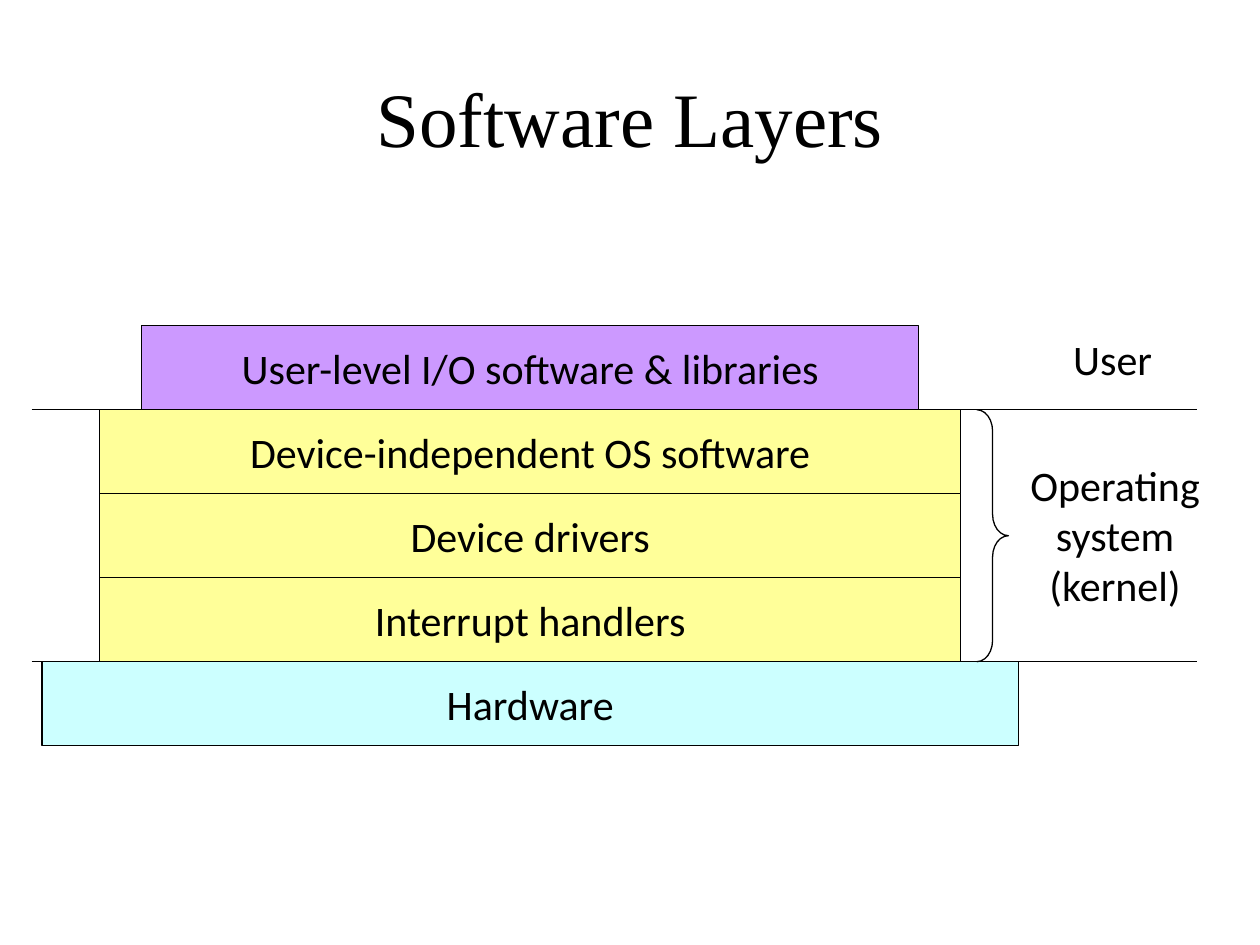
import pptx
import pptx.util
import pptx.dml.color
import pptx.enum.shapes
import pptx.enum.text
import pptx.oxml.ns
import lxml.etree

Cm = pptx.util.Cm
Pt = pptx.util.Pt
HUES = {"ink": "000000", "user": "CC99FF", "kernel": "FFFF99", "metal": "CCFFFF"}

# Stack geometry in cm: the three kernel layers fill the band between the lines
MID = 10.69
TOP = 8.26
BAND = 5.08
ROW = BAND / 3
LAYERS = [
    ("User-level I/O software & libraries", 15.66, "user"),
    ("Device-independent OS software", 17.36, "kernel"),
    ("Device drivers", 17.36, "kernel"),
    ("Interrupt handlers", 17.36, "kernel"),
    ("Hardware", 19.69, "metal"),
]


def hue(name):
    return pptx.dml.color.RGBColor.from_string(HUES[name])


def write(frame, lines, size=24, font="Calibri"):
    para = frame.paragraphs[0]
    para.alignment = pptx.enum.text.PP_ALIGN.CENTER
    for i, line in enumerate(lines):
        if i:
            para.add_line_break()
        run = para.add_run()
        run.text = line
        run.font.size = Pt(size)
        run.font.name = font
        run.font.color.rgb = hue("ink")


def stroke(item):
    item.line.color.rgb = hue("ink")
    item.line.width = Pt(0.75)


def add_title(slide, text):
    title = slide.shapes.title
    title.left, title.top = Cm(1.27), Cm(0.76)
    title.width, title.height = Cm(22.86), Cm(3.18)
    title.text_frame.vertical_anchor = pptx.enum.text.MSO_ANCHOR.MIDDLE
    write(title.text_frame, [text], 44, "Times New Roman")


def add_layer(slide, text, top, width, fill):
    box = slide.shapes.add_shape(
        pptx.enum.shapes.MSO_SHAPE.RECTANGLE,
        Cm(MID - width / 2), Cm(top), Cm(width), Cm(ROW))
    box.shadow.inherit = False
    box.fill.solid()
    box.fill.fore_color.rgb = hue(fill)
    stroke(box)
    box.text_frame.word_wrap = False
    box.text_frame.vertical_anchor = pptx.enum.text.MSO_ANCHOR.MIDDLE
    write(box.text_frame, [text])


def add_brace(slide, left, top, width, height):
    brace = slide.shapes.add_shape(
        pptx.enum.shapes.MSO_SHAPE.RIGHT_BRACE,
        Cm(left), Cm(top), Cm(width), Cm(height))
    brace.adjustments[0] = 0.67
    brace.shadow.inherit = False
    brace.fill.background()
    stroke(brace)


def add_label(slide, lines, left, top, width, height):
    box = slide.shapes.add_textbox(Cm(left), Cm(top), Cm(width), Cm(height))
    box.text_frame.word_wrap = False
    box.text_frame.auto_size = pptx.enum.text.MSO_AUTO_SIZE.SHAPE_TO_FIT_TEXT
    write(box.text_frame, lines)


def add_border(slide, y):
    line = slide.shapes.add_connector(
        pptx.enum.shapes.MSO_CONNECTOR.STRAIGHT,
        Cm(0.64), Cm(y), Cm(24.13), Cm(y))
    stroke(line)
    lxml.etree.SubElement(
        line._element.spPr, pptx.oxml.ns.qn("a:effectLst"))


def main():
    deck = pptx.Presentation()
    deck.slide_width, deck.slide_height = Cm(25.4), Cm(19.05)
    slide = deck.slides.add_slide(deck.slide_layouts[5])
    add_title(slide, "Software Layers")

    # Layer stack, with the first row above the kernel band
    for i, (text, width, fill) in enumerate(LAYERS):
        add_layer(slide, text, TOP + (i - 1) * ROW, width, fill)

    # Brace and labels on the right
    add_brace(slide, 19.69, TOP, 0.64, BAND)
    add_label(slide, ["Operating", "system", "(kernel)"], 20.5, 9.13, 3.96, 3.3)
    add_label(slide, ["User"], 21.28, 6.59, 2.3, 1.27)

    # Borders between user, kernel and hardware
    for y in (TOP, TOP + BAND):
        add_border(slide, y)

    deck.save("out.pptx")


if __name__ == "__main__":
    main()
